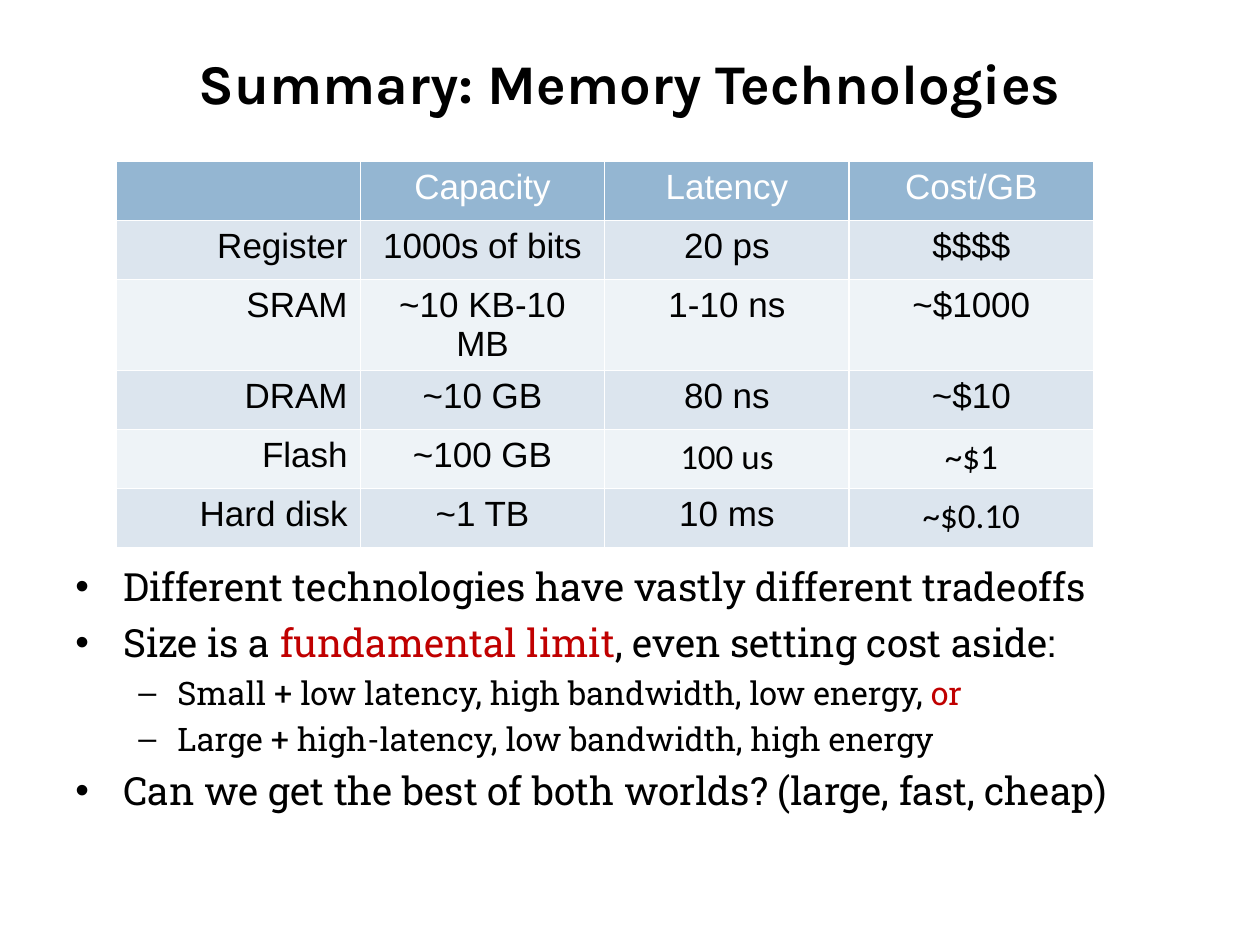
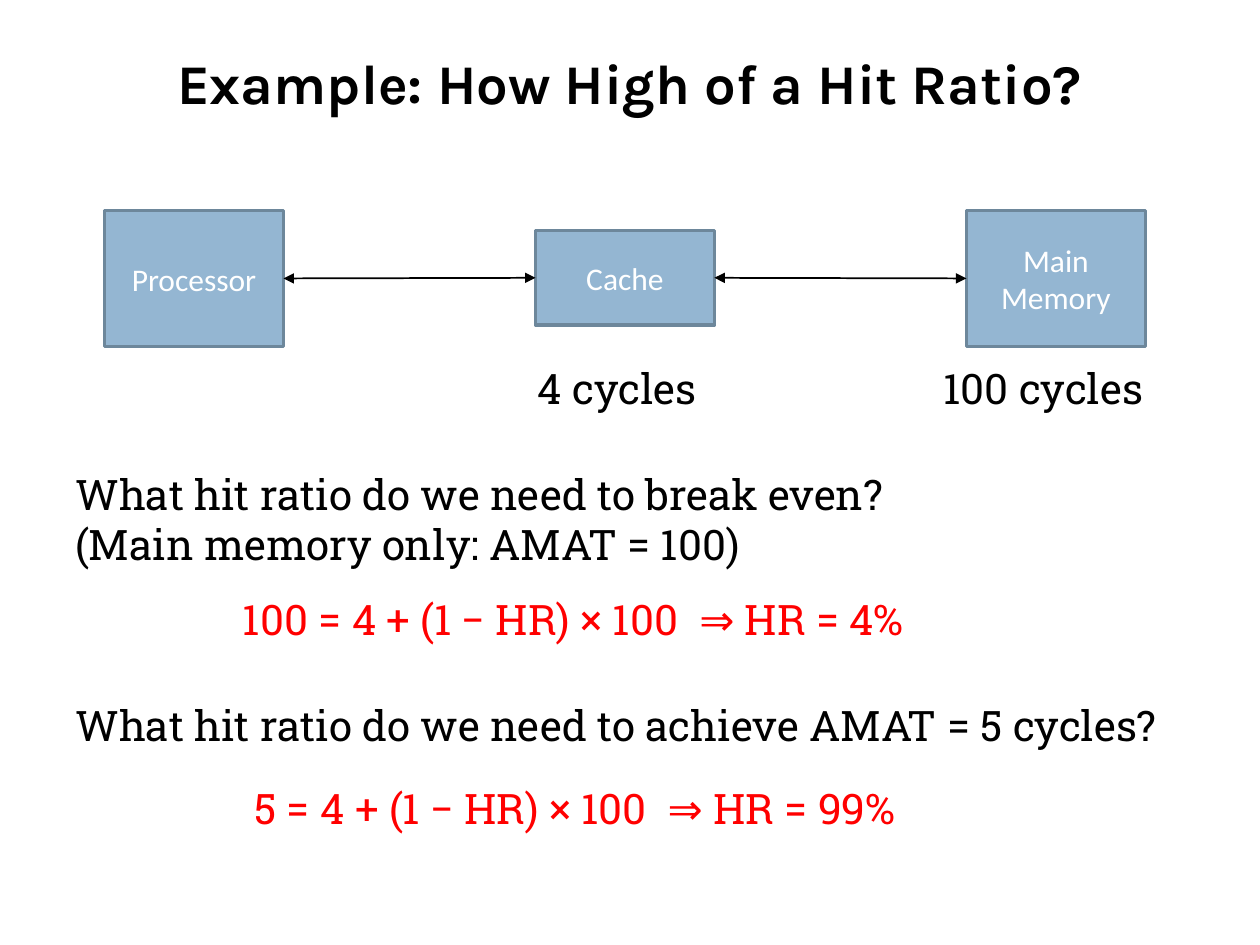
"""Build two slides on memory technologies and cache hit ratios."""
from lxml import etree
from pptx import Presentation
from pptx.dml.color import RGBColor
from pptx.enum.shapes import MSO_CONNECTOR, MSO_SHAPE
from pptx.enum.text import MSO_ANCHOR, MSO_AUTO_SIZE, PP_ALIGN
from pptx.oxml.ns import qn
from pptx.util import Pt

PX = 9144
CENTER, RIGHT = PP_ALIGN.CENTER, PP_ALIGN.RIGHT
MIDDLE = MSO_ANCHOR.MIDDLE
FIT_SHAPE = MSO_AUTO_SIZE.SHAPE_TO_FIT_TEXT
RECTANGLE, STRAIGHT = MSO_SHAPE.RECTANGLE, MSO_CONNECTOR.STRAIGHT
LEFT_SIDE, RIGHT_SIDE = 1, 3

COLORS = {
    "text": "000000", "white": "FFFFFF", "accent": "94B6D2", "outline": "6D879B",
    "band_dark": "DCE5EE", "band_light": "EEF3F7", "emphasis": "C00000", "answer": "FF0000",
}
TITLE = {"name": "Karla", "size": Pt(32), "bold": True}
BODY = {"name": "Roboto Slab", "size": Pt(24)}
CELL = {"name": "Arial", "size": Pt(20), "bold": False}
BOX = {"name": "Calibri", "size": Pt(18)}
LEVELS = [
    {"size": 22.2, "before": 5, "margin": 38, "hanging": 38, "bullet": "•"},
    {"size": 18.5, "before": 4.3, "margin": 81, "hanging": 31, "bullet": "–"},
]


def format_runs(paragraph, values, color):
    """Apply font values and a named colour to every run."""
    for run in paragraph.runs:
        for attribute, value in values.items():
            setattr(run.font, attribute, value)
        run.font.color.rgb = RGBColor.from_string(COLORS[color])


def add_titled_slide(presentation, text):
    """Add a title-only slide with the shared title style."""
    slide = presentation.slides.add_slide(presentation.slide_layouts[5])
    title = slide.shapes.title
    title.left, title.top, title.width, title.height = (v * PX for v in (50, 30, 900, 70))
    title.text_frame.vertical_anchor = MIDDLE
    paragraph = title.text_frame.paragraphs[0]
    paragraph.text = text
    paragraph.alignment = CENTER
    format_runs(paragraph, TITLE, "text")
    return slide


presentation = Presentation()
presentation.slide_width, presentation.slide_height = 1000 * PX, 750 * PX

slide = add_titled_slide(presentation, "Summary: Memory Technologies")

TECHNOLOGIES = [
    ("", "Capacity", "Latency", "Cost/GB"),
    ("Register", "1000s of bits", "20 ps", "$$$$"),
    ("SRAM", "~10 KB-10 MB", "1-10 ns", "~$1000"),
    ("DRAM", "~10 GB", "80 ns", "~$10"),
    ("Flash", "~100 GB", "100 us", "~$1"),
    ("Hard disk", "~1 TB", "10 ms", "~$0.10"),
]
CALIBRI_CELLS = {"100 us", "~$1", "~$0.10"}
table = slide.shapes.add_table(6, 4, 92 * PX, 128 * PX, 776 * PX, 282 * PX).table
for row_index, values in enumerate(TECHNOLOGIES):
    header = row_index == 0
    fill = "accent" if header else ("band_light", "band_dark")[row_index % 2]
    for column_index, value in enumerate(values):
        cell = table.cell(row_index, column_index)
        cell.fill.solid()
        cell.fill.fore_color.rgb = RGBColor.from_string(COLORS[fill])
        paragraph = cell.text_frame.paragraphs[0]
        paragraph.text = value
        paragraph.alignment = CENTER if column_index else RIGHT
        font_name = "Calibri" if value in CALIBRI_CELLS else "Arial"
        format_runs(paragraph, CELL | {"name": font_name}, "white" if header else "text")

BULLETS = [
    (0, [("Different technologies have vastly different tradeoffs", "text")]),
    (0, [("Size is a ", "text"), ("fundamental limit", "emphasis"),
         (", even setting cost aside:", "text")]),
    (1, [("Small + low latency, high bandwidth, low energy, ", "text"), ("or", "emphasis")]),
    (1, [("Large + high-latency, low bandwidth, high energy", "text")]),
    (0, [("Can we get the best of both worlds? (large, fast, cheap)", "text")]),
]
frame = slide.shapes.add_textbox(50 * PX, 442 * PX, 858 * PX, 250 * PX).text_frame
frame.word_wrap = True
for index, (level, pieces) in enumerate(BULLETS):
    style = LEVELS[level]
    paragraph = frame.add_paragraph() if index else frame.paragraphs[0]
    paragraph.level = level
    if index:
        paragraph.space_before = Pt(style["before"])
    properties = paragraph._p.get_or_add_pPr()
    properties.set("marL", str(style["margin"] * PX))
    properties.set("indent", str(-style["hanging"] * PX))
    etree.SubElement(properties, qn("a:buFont"), typeface="Arial")
    etree.SubElement(properties, qn("a:buChar"), char=style["bullet"])
    for text, color in pieces:
        paragraph.add_run().text = text
    format_runs(paragraph, BODY | {"size": Pt(style["size"])}, "text")
    for run, (text, color) in zip(paragraph.runs, pieces):
        run.font.color.rgb = RGBColor.from_string(COLORS[color])

slide = add_titled_slide(presentation, "Example: How High of a Hit Ratio?")

COMPONENTS = [
    ("Processor", 83, 167, 108),
    ("Cache", 425, 183, 75),
    ("Main\nMemory", 767, 167, 108),
]
boxes = []
for text, left, top, height in COMPONENTS:
    box = slide.shapes.add_shape(RECTANGLE, left * PX, top * PX, 142 * PX, height * PX)
    box.shadow.inherit = False
    box.fill.solid()
    box.fill.fore_color.rgb = RGBColor.from_string(COLORS["accent"])
    box.line.color.rgb = RGBColor.from_string(COLORS["outline"])
    box.line.width = Pt(2)
    frame = box.text_frame
    frame.margin_left = frame.margin_right = 0
    frame.vertical_anchor = MIDDLE
    paragraph = frame.paragraphs[0]
    paragraph.text = text
    paragraph.alignment = CENTER
    format_runs(paragraph, BOX, "white")
    boxes.append(box)

for near, far in zip(boxes, boxes[1:]):
    arrow = slide.shapes.add_connector(STRAIGHT, 0, 0, 0, 0)
    arrow.begin_connect(near, RIGHT_SIDE)
    arrow.end_connect(far, LEFT_SIDE)
    arrow.line.color.rgb = RGBColor.from_string(COLORS["text"])
    arrow.line.width = Pt(1)
    for end in ("a:headEnd", "a:tailEnd"):
        etree.SubElement(arrow.line._get_or_add_ln(), qn(end), type="triangle")
    etree.SubElement(arrow._element.spPr, qn("a:effectLst"))

TEXTS = [
    ("4 cycles", 417, 283, 150, 50, "text", False),
    ("100 cycles", 739, 283, 192, 50, "text", False),
    ("What hit ratio do we need to break even?\n(Main memory only: AMAT = 100)",
     50, 367, 942, 117, "text", True),
    ("100 = 4 + (1 − HR) × 100  ⇒ HR = 4%", 183, 466, 639, 50, "answer", False),
    ("What hit ratio do we need to achieve AMAT = 5 cycles?", 50, 550, 942, 67, "text", True),
    ("5 = 4 + (1 − HR) × 100  ⇒ HR = 99%", 192, 616, 618, 50, "answer", False),
]
for text, left, top, width, height, color, wraps in TEXTS:
    frame = slide.shapes.add_textbox(left * PX, top * PX, width * PX, height * PX).text_frame
    frame.word_wrap = wraps
    if not wraps:
        frame.auto_size = FIT_SHAPE
    paragraph = frame.paragraphs[0]
    paragraph.text = text
    format_runs(paragraph, BODY, color)

presentation.save("out.pptx")
